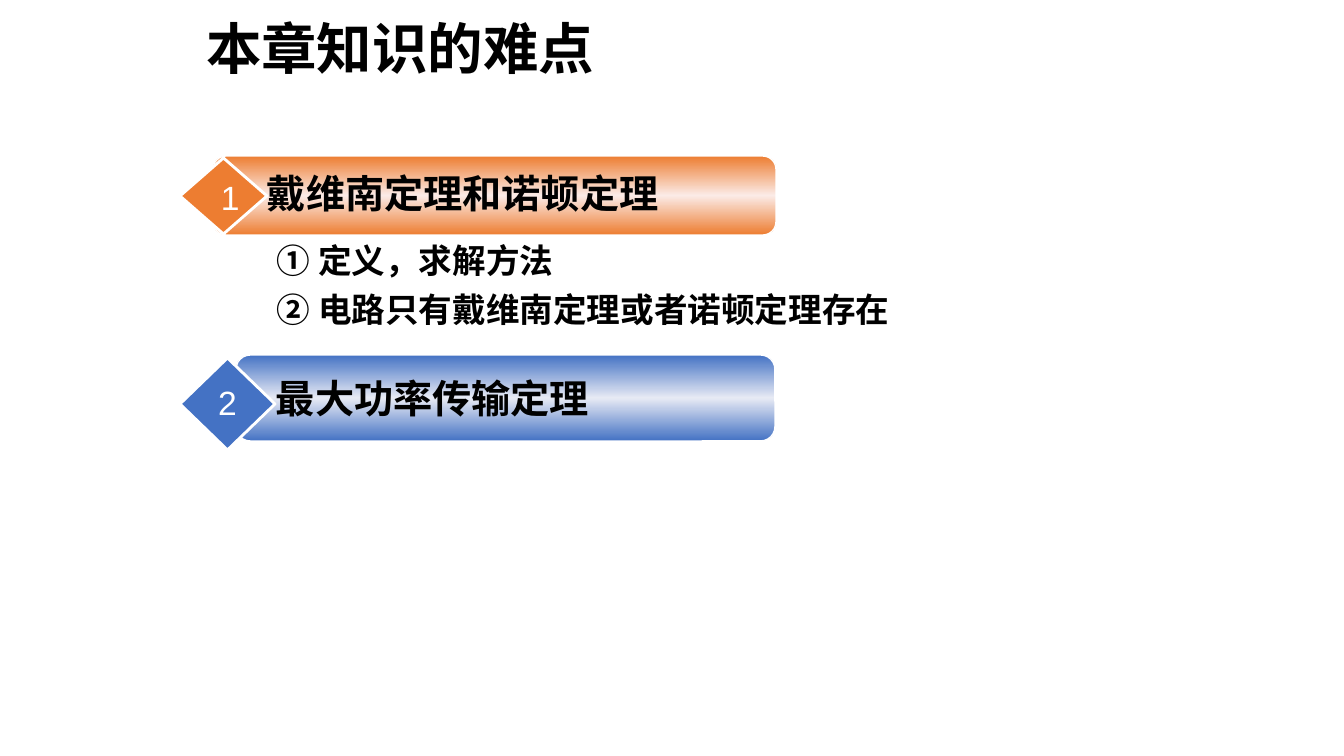
from copy import deepcopy

from lxml.etree import SubElement
from pptx import Presentation
from pptx.dml.color import RGBColor
from pptx.enum.shapes import MSO_SHAPE as SHAPE
from pptx.enum.text import MSO_ANCHOR as ANCHOR, MSO_AUTO_SIZE as AUTO, PP_ALIGN as ALIGN
from pptx.oxml.ns import qn
from pptx.util import Emu, Pt

TITLE = "本章知识的难点"
# Boxes are left, top, width, height in px.
TOPICS = [
    dict(number="1", heading="戴维南定理和诺顿定理", color="orange", glow="pale_orange",
         bar=(213, 156, 563, 79), diamond=(180, 158, 87, 76),
         label=(257, 164, 520, 57), digit=(211, 172, 38, 50)),
    dict(number="2", heading="最大功率传输定理", color="blue", glow="pale_blue",
         bar=(236, 355, 539, 86), diamond=(180, 358, 95, 92),
         label=(266, 369, 510, 57), digit=(208, 377, 39, 51)),
]
POINTS = ["① 定义，求解方法", "② 电路只有戴维南定理或者诺顿定理存在"]

COLORS = dict(black="000000", white="FFFFFF", orange="ED7D31", pale_orange="FBEBE7",
              blue="4472C4", pale_blue="E7EAF4")
LATIN, CJK = "Arial", "Noto Sans CJK SC"
PX = 914400 / 100.8


def px(*values):
    return [Emu(round(v * PX)) for v in values]


def rgb(name):
    return RGBColor.from_string(COLORS[name])


def format_text(tf, size, font, color="black", bold=True, align=ALIGN.LEFT):
    for p in tf.paragraphs:
        p.alignment = align
        for r in p.runs:
            r.font.size, r.font.name, r.font.bold = Pt(size), font, bold
            r.font.color.rgb = rgb(color)
            SubElement(r.font._element, qn("a:ea")).set("typeface", CJK)


def add_text(slide, box, text, size, font, wrap=True, **style):
    tf = slide.shapes.add_textbox(*px(*box)).text_frame
    tf.word_wrap = wrap
    tf.text = text
    format_text(tf, size, font, **style)
    return tf


def add_outlined(slide, kind, box, line_width):
    sp = slide.shapes.add_shape(kind, *px(*box))
    sp.shadow.inherit = False
    sp.line.color.rgb = rgb("white")
    sp.line.width = Pt(line_width)
    return sp


def fill_with_glow(fill, edge, middle):
    """Vertical gradient: edge colour at both ends, middle colour halfway."""
    fill.gradient()
    fill.gradient_angle = 90
    first = fill.gradient_stops[0]._gs
    first.addnext(deepcopy(first))
    for stop, position, color in zip(fill.gradient_stops, (0, 0.5, 1), (edge, middle, edge)):
        stop.position = position
        stop.color.rgb = rgb(color)


def add_topic(slide, topic):
    bar = add_outlined(slide, SHAPE.ROUNDED_RECTANGLE, topic["bar"], 1)
    fill_with_glow(bar.fill, topic["color"], topic["glow"])
    diamond = add_outlined(slide, SHAPE.DIAMOND, topic["diamond"], 2)
    diamond.fill.solid()
    diamond.fill.fore_color.rgb = rgb(topic["color"])
    add_text(slide, topic["label"], topic["heading"], 28, LATIN)
    add_text(slide, topic["digit"], topic["number"], 24, LATIN, wrap=False,
             color="white", bold=False, align=ALIGN.CENTER)


def main():
    prs = Presentation()
    prs.slide_width, prs.slide_height = px(1344, 756)
    slide = prs.slides.add_slide(prs.slide_layouts[5])

    title = slide.shapes.title
    title.left, title.top, title.width, title.height = px(196, 21, 532, 62)
    tf = title.text_frame
    tf.text = TITLE
    tf.auto_size, tf.vertical_anchor = AUTO.NONE, ANCHOR.MIDDLE
    tf.paragraphs[0].line_spacing = 0.9
    format_text(tf, 39.6, CJK)

    for topic in TOPICS:
        add_topic(slide, topic)

    points = add_text(slide, (267, 235, 682, 112), "\n".join(POINTS), 24, CJK)
    points.paragraphs[1].space_before = Pt(6)
    prs.save("out.pptx")


if __name__ == "__main__":
    main()
